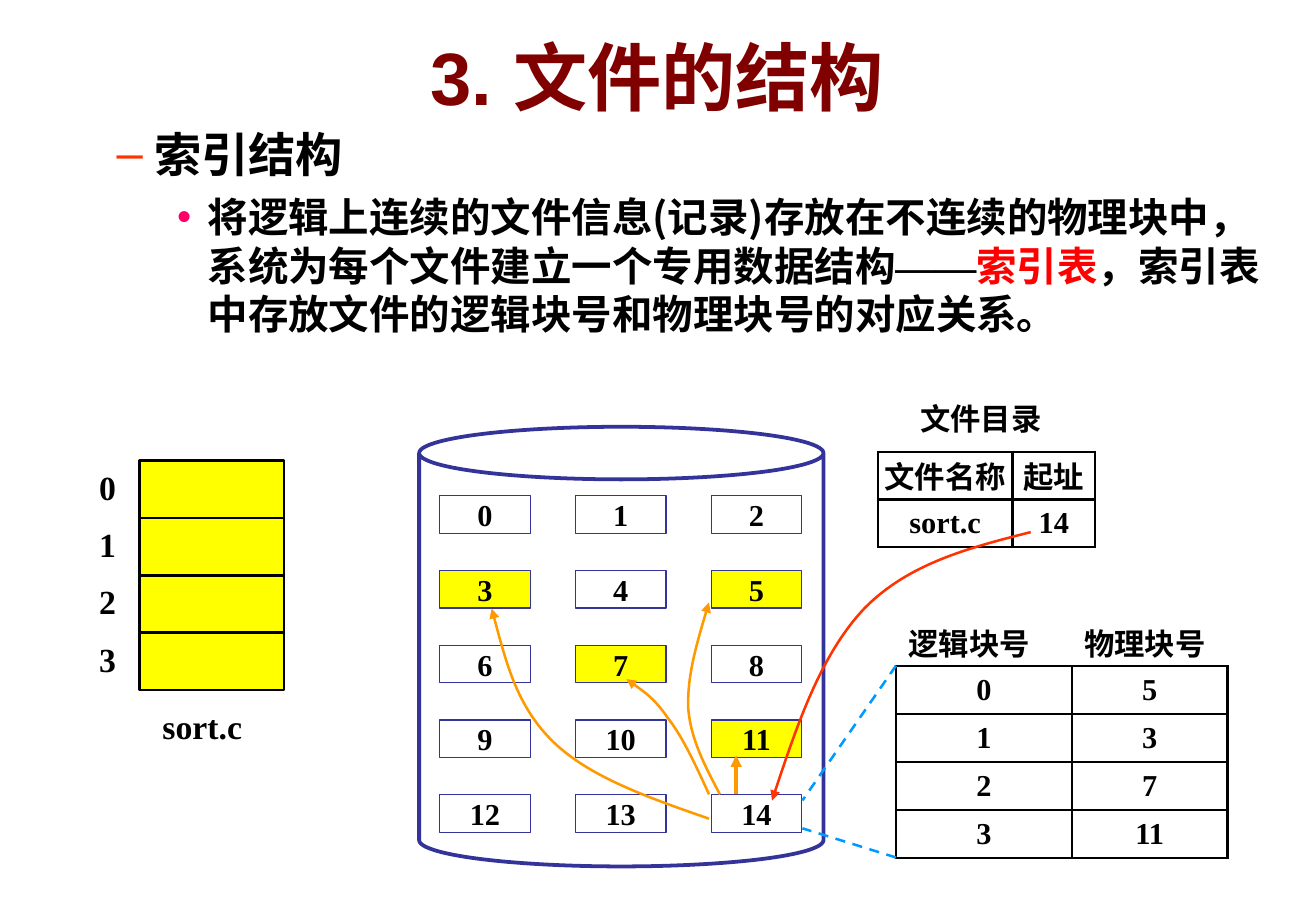
from pptx import Presentation
from pptx.dml.color import RGBColor
from pptx.enum.dml import MSO_LINE
from pptx.enum.shapes import MSO_CONNECTOR, MSO_SHAPE
from pptx.enum.text import MSO_ANCHOR, MSO_AUTO_SIZE, PP_ALIGN
from pptx.oxml.ns import qn
from pptx.oxml.xmlchemy import OxmlElement as new_xml
from pptx.util import Pt

CJK, SERIF, SANS = "Noto Sans CJK SC", "Times New Roman", "Arial"
BLACK, WHITE, YELLOW = "000000", "FFFFFF", "FFFF00"
NAVY, ORANGE, RED, SKY = "333399", "FF9900", "FF3300", "0099FF"


def rgb(colour):
    return RGBColor.from_string(colour)


def add_xml(parent, tag, **attributes):
    child = new_xml(tag)
    for name, value in attributes.items():
        child.set(name, str(value))
    parent.append(child)
    return child


def write(paragraph, text, size=18, font=SERIF, east=CJK, colour=BLACK):
    run = paragraph.add_run()
    run.text = text
    run.font.size = Pt(size)
    run.font.bold = True
    run.font.color.rgb = rgb(colour)
    run.font.name = font
    add_xml(run.font._element, "a:ea", typeface=east)


def move(placeholder, left, top, width, height):
    placeholder.left, placeholder.top = Pt(left), Pt(top)
    placeholder.width, placeholder.height = Pt(width), Pt(height)
    placeholder.text_frame.auto_size = MSO_AUTO_SIZE.NONE
    return placeholder.text_frame


def bullet(paragraph, level, char, colour, margin, hanging, before):
    paragraph.level = level
    paragraph.space_before = Pt(before)
    props = paragraph._p.get_or_add_pPr()
    props.set("marL", str(Pt(margin)))
    props.set("indent", str(-Pt(hanging)))
    props.set("hangingPunct", "0")
    add_xml(add_xml(props, "a:buClr"), "a:srgbClr", val=colour)
    add_xml(props, "a:buFont", typeface=SANS)
    add_xml(props, "a:buChar", char=char)


def label(slide, text, left, top, width, height, size=18):
    frame = slide.shapes.add_textbox(Pt(left), Pt(top), Pt(width), Pt(height)).text_frame
    frame.word_wrap = True
    write(frame.paragraphs[0], text, size=size)


def stroke(item, colour, weight, dash=None, arrow=False):
    item.line.color.rgb = rgb(colour)
    item.line.width = Pt(weight)
    if dash:
        item.line.dash_style = dash
    if arrow:
        add_xml(item.element.spPr.find(qn("a:ln")), "a:tailEnd", type="triangle")


def block(slide, left, top, width, height, fill, colour, weight, text="", kind=MSO_SHAPE.RECTANGLE):
    shape = slide.shapes.add_shape(kind, Pt(left), Pt(top), Pt(width), Pt(height))
    shape.shadow.inherit = False
    if fill:
        shape.fill.solid()
        shape.fill.fore_color.rgb = rgb(fill)
    else:
        shape.fill.background()
    stroke(shape, colour, weight)
    if text:
        frame = shape.text_frame
        frame.word_wrap = False
        frame.vertical_anchor = MSO_ANCHOR.MIDDLE
        frame.paragraphs[0].alignment = PP_ALIGN.CENTER
        write(frame.paragraphs[0], text)
    return shape


def straight(slide, start, end, colour, weight, **ending):
    link = slide.shapes.add_connector(MSO_CONNECTOR.STRAIGHT, *map(Pt, start + end))
    stroke(link, colour, weight, **ending)
    add_xml(link.element.spPr, "a:effectLst")


def curve(slide, start, controls, colour):
    builder = slide.shapes.build_freeform(Pt(start[0]), Pt(start[1]))
    builder.add_line_segments([(Pt(x), Pt(y)) for x, y in controls], close=False)
    arc = builder.convert_to_shape()
    arc.shadow.inherit = False
    arc.fill.background()
    stroke(arc, colour, 1.5, arrow=True)
    steps = list(arc.element.iter(qn("a:lnTo")))
    for first in range(0, len(steps), 3):
        bezier = new_xml("a:cubicBezTo")
        steps[first].addprevious(bezier)
        for step in steps[first:first + 3]:
            bezier.append(step[0])
            step.getparent().remove(step)


def grid(slide, rows, left, top, widths, row_height):
    table = slide.shapes.add_table(len(rows), len(widths), Pt(left), Pt(top),
                                   Pt(sum(widths)), Pt(row_height * len(rows))).table
    table.first_row = table.horz_banding = False
    for column, width in zip(table.columns, widths):
        column.width = Pt(width)
    for row, values in zip(table.rows, rows):
        row.height = Pt(row_height)
        for cell, value in zip(row.cells, values):
            cell.margin_left = cell.margin_right = cell.margin_top = cell.margin_bottom = 0
            cell.vertical_anchor = MSO_ANCHOR.MIDDLE
            cell.text_frame.paragraphs[0].alignment = PP_ALIGN.CENTER
            write(cell.text_frame.paragraphs[0], value)
            props = cell._tc.get_or_add_tcPr()
            for side in ("a:lnL", "a:lnR", "a:lnT", "a:lnB"):
                border = add_xml(props, side, w=Pt(1.5))
                add_xml(add_xml(border, "a:solidFill"), "a:srgbClr", val=BLACK)
            cell.fill.solid()
            cell.fill.fore_color.rgb = rgb(WHITE)


def heading(slide):
    title = move(slide.shapes.title, 38.9, 0, 702, 90)
    title.vertical_anchor = MSO_ANCHOR.MIDDLE
    title.paragraphs[0].alignment = PP_ALIGN.CENTER
    write(title.paragraphs[0], "3. 文件的结构", size=44, font=SANS, colour="800000")

    body = move(slide.placeholders[1], 25.9, 70.6, 733.7, 144)
    topic = body.paragraphs[0]
    bullet(topic, 1, "–", RED, 58.3, 22.3, 0)
    write(topic, "索引结构", size=28, font=CJK)
    detail = body.add_paragraph()
    bullet(detail, 2, "•", "FF0066", 90, 18, 6)
    write(detail, "将逻辑上连续的文件信息(记录)存放在不连续的物理块中，系统为每个文件建立一个专用数据结构",
          size=24, font=CJK)
    write(detail, "——", size=24, font=SANS, east=SERIF)
    write(detail, "索引表", size=24, font=CJK, colour="FF0000")
    write(detail, "，索引表中存放文件的逻辑块号和物理块号的对应关系。", size=24, font=CJK)


def logical_file(slide):
    label(slide, "sort.c", 89.3, 414.7, 67.7, 31.7, size=20)
    for number in range(4):
        top = 273 + 34 * number
        block(slide, 82.8, top, 85.7, 34, YELLOW, BLACK, 1.5)
        label(slide, str(number), 51.8, top, 24.5, 31.7, size=20)


def disk(slide, used):
    for number in range(15):
        row, column = divmod(number, 3)
        block(slide, 260.8 + 80.5 * column, 293.9 + 44.3 * row, 53.7, 22.2,
              YELLOW if number in used else WHITE, NAVY, 0.75, str(number))
    cylinder = block(slide, 248.6, 253, 239.8, 260.6, None, NAVY, 2.25, kind=MSO_SHAPE.CAN)
    cylinder.adjustments[0] = 0.13


def links(slide):
    straight(slide, (531.4, 394.6), (475.9, 474.5), SKY, 1.5, dash=MSO_LINE.DASH)
    straight(slide, (531.4, 508.3), (475.9, 491), SKY, 1.5, dash=MSO_LINE.DASH)
    curve(slide, (611.3, 315.4), [(574.6, 324.7), (538.6, 334.1), (512.6, 360.7),
                                  (487.4, 387.4), (472.3, 430.6), (457.9, 474.5)], RED)
    straight(slide, (436.6, 470.5), (436.6, 447.8), ORANGE, 2.25, arrow=True)
    curve(slide, (427, 470.9), [(418.3, 454.3), (409.7, 438.5), (408.2, 419.8),
                                (407.5, 401), (414, 378.7), (420.5, 357.1)], ORANGE)
    curve(slide, (420.5, 470.9), [(412.6, 453.6), (404.6, 436.3), (396, 425.5),
                                  (388.1, 414), (379.4, 408.2), (371.5, 402.5)], ORANGE)
    curve(slide, (420.5, 485.3), [(385.2, 473), (349.9, 460.8), (328.3, 439.9),
                                  (306.7, 419), (299.5, 390.2), (291.6, 360.7)], ORANGE)


def main():
    deck = Presentation()
    deck.slide_width, deck.slide_height = Pt(780.48), Pt(540)
    slide = deck.slides.add_slide(deck.slide_layouts[1])
    physical = [5, 3, 7, 11]
    heading(slide)
    logical_file(slide)
    disk(slide, physical)
    label(slide, "文件目录", 538.6, 233.5, 104.4, 28.8)
    grid(slide, [("文件名称", "起址"), ("sort.c", "14")], 520.6, 267.8, (79.9, 49), 28.3)
    label(slide, "逻辑块号", 531.6, 366.8, 98, 28.8)
    label(slide, "物理块号", 635.8, 366.8, 98, 28.8)
    grid(slide, [(str(logical), str(number)) for logical, number in enumerate(physical)],
         531.4, 394.9, (104.4, 92.2), 28.4)
    links(slide)
    deck.save("out.pptx")


if __name__ == "__main__":
    main()
